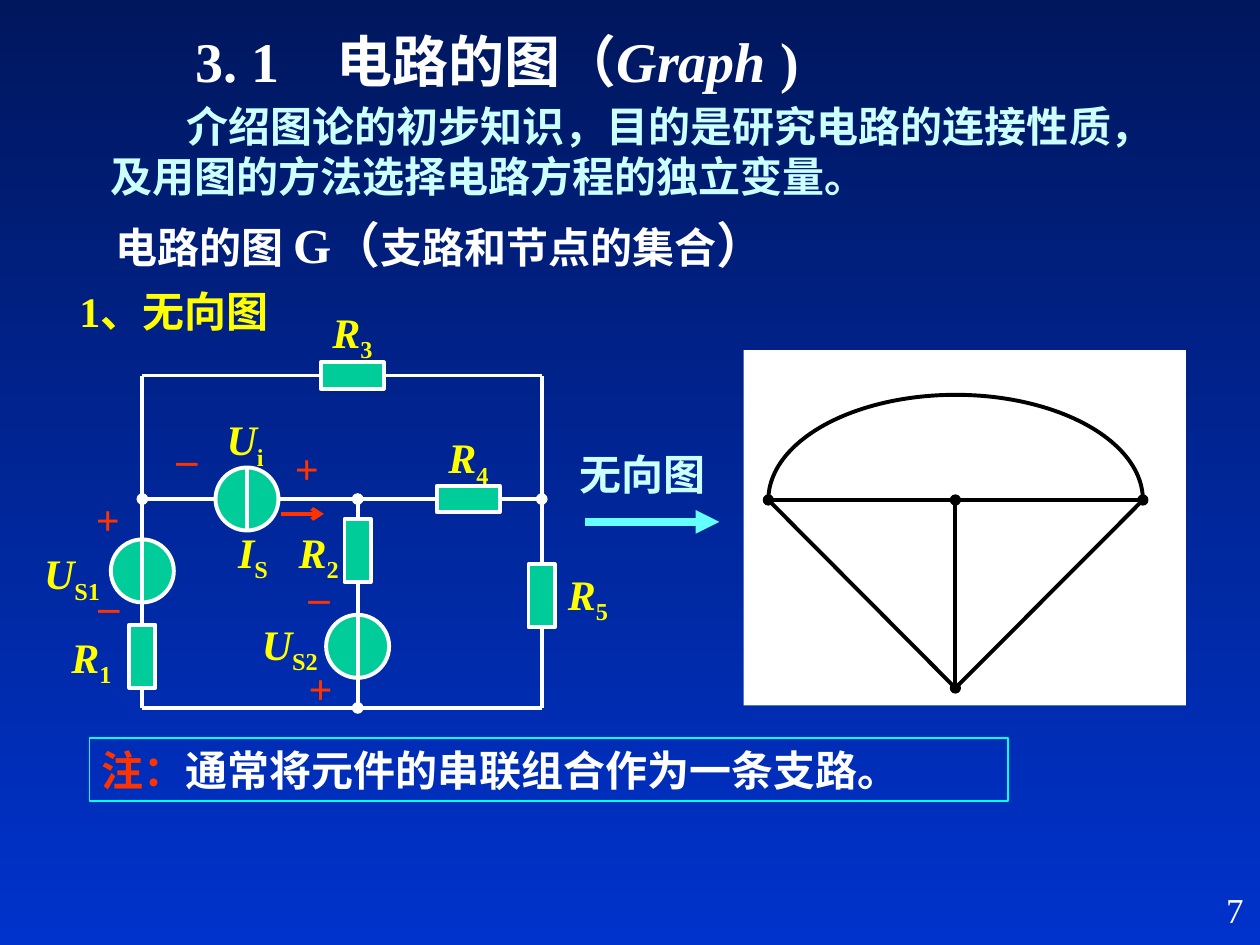
from lxml.etree import SubElement
from pptx import Presentation
from pptx.dml.color import RGBColor
from pptx.enum.shapes import MSO_CONNECTOR, MSO_SHAPE
from pptx.enum.text import MSO_ANCHOR, PP_ALIGN
from pptx.oxml.ns import qn
from pptx.util import Cm, Pt

COLORS = {
    "navy": "00175E", "blue": "0033CC", "white": "FFFFFF", "black": "000000",
    "pale": "CCFFFF", "yellow": "FFFF00", "red": "FF3300", "green": "00CC99",
    "aqua": "66FFFF", "cyan": "00FFFF",
}
RGB = {name: RGBColor.from_string(value) for name, value in COLORS.items()}

prs = Presentation()
prs.slide_width, prs.slide_height = Cm(25.4), Cm(19.05)
slide = prs.slides.add_slide(prs.slide_layouts[6])
shapes = slide.shapes

fill = slide.background.fill
fill.gradient()
fill.gradient_angle = 270
for stop, position, color in zip(fill.gradient_stops, (0, 1), ("navy", "blue")):
    stop.position = position
    stop.color.rgb = RGB[color]


def add_text(box, runs, align=PP_ALIGN.LEFT, wrap=True, anchor=MSO_ANCHOR.TOP):
    """Add a text box; each run is (text, color, font values), where sub lowers it."""
    s = shapes.add_textbox(*map(Cm, box))
    tf = s.text_frame
    for name, value in {"word_wrap": wrap, "vertical_anchor": anchor}.items():
        setattr(tf, name, value)
    p = tf.paragraphs[0]
    p.alignment = align
    for text, color, values in runs:
        r = p.add_run()
        r.text = text
        font = {"name": "Times New Roman", "size": Pt(24), "bold": True, **values}
        if font.pop("sub", False):
            r._r.get_or_add_rPr().set("baseline", "-25000")
        for name, value in font.items():
            setattr(r.font, name, value)
        r.font.color.rgb = RGB[color]
    return s


def add_line(start, end, color, width=2.25, head=None, tail=None):
    s = shapes.add_connector(MSO_CONNECTOR.STRAIGHT, *map(Cm, start + end))
    s.line.color.rgb = RGB[color]
    s.line.width = Pt(width)
    SubElement(s._element.spPr, qn("a:effectLst"))
    for tag, kind in (("a:headEnd", head), ("a:tailEnd", tail)):
        if kind:
            SubElement(s.line._get_or_add_ln(), qn(tag), type=kind)


# Headings
big = {"size": Pt(32)}
s = add_text((3.7, 0.41, 16, 1.6),
             [("3. 1\t电路的图（", "white", big),
              ("Graph ", "white", {**big, "italic": True}),
              (")", "white", big)], anchor=MSO_ANCHOR.MIDDLE)
tabs = SubElement(s.text_frame.paragraphs[0]._p.get_or_add_pPr(), qn("a:tabLst"))
SubElement(tabs, qn("a:tab"), pos=str(Cm(2.83)), algn="l")

s = add_text((1.98, 1.9, 21.95, 2.29),
             [("介绍图论的初步知识，目的是研究电路的连接性质，及用图的方法选择电路方程的独立变量。",
               "pale", {})])
s.text_frame.paragraphs[0]._p.get_or_add_pPr().set("indent", str(Cm(1.54)))

add_text((2.08, 4.19, 19.38, 1.45),
         [("电路的图 ", "white", {}), ("G（", "white", {"size": Pt(28)}),
          ("支路和节点的集合", "white", {}), ("）", "white", {"size": Pt(28)})])
add_text((1.35, 5.64, 5.16, 1.27), [("1、无向图", "yellow", {})])

# Circuit: sources lie under the wires, resistors above them
left, middle, right = 2.87, 7.21, 10.92
top, center, bottom = 7.57, 10.06, 14.27
source, source_x = 1.27, 4.98
radius = source / 2
long_side, short_side = 1.27, 0.53
sources = [(left, 11.51), (source_x, center), (middle, 13.03)]
resistors = [(left, 13.23, True), (middle, 11.1, True), (right, 12.01, True),
             (7.1, top, False), (9.44, center, False)]
wires = [
    ((left, top), (left, bottom), None, None),
    ((right, bottom), (right, top), None, None),
    ((left, top), (right, top), None, None),
    ((left, bottom), (right, bottom), None, None),
    ((source_x - radius, center), (left, center), None, "oval"),
    ((source_x + radius, center), (right, center), None, "oval"),
    ((middle, center), (middle, bottom), "oval", "oval"),
    ((source_x, center - radius), (source_x, center + radius), None, None),
]
parts = [(MSO_SHAPE.OVAL, x, y, source, source) for x, y in sources]
parts += [(MSO_SHAPE.RECTANGLE, x, y, *((short_side, long_side) if upright
                                        else (long_side, short_side)))
          for x, y, upright in resistors]
for i, (kind, x, y, w, h) in enumerate(parts):
    if i == len(sources):
        for start, end, head, tail in wires:
            add_line(start, end, "white", head=head, tail=tail)
    s = shapes.add_shape(kind, Cm(x - w / 2), Cm(y - h / 2), Cm(w), Cm(h))
    s.shadow.inherit = False
    s.fill.solid()
    s.fill.fore_color.rgb = RGB["green"]
    s.line.color.rgb = RGB["white"]
    s.line.width = Pt(2.25)
add_line((5.66, 10.36), (6.53, 10.36), "red", tail="arrow")

for x, y, letter, index in [
    (0.64, 10.92, "U", "S1"), (5.03, 12.34, "U", "S2"),
    (4.32, 8.22, "U", "i"), (4.55, 10.48, "I", "S"),
    (1.19, 12.6, "R", "1"), (5.77, 10.48, "R", "2"),
    (6.45, 6.05, "R", "3"), (8.79, 8.58, "R", "4"),
    (11.2, 11.33, "R", "5"),
]:
    add_text((x, y, 1.8, 1.42), [(letter, "yellow", {"italic": True}),
                                 (index, "yellow", {"sub": True})])

for x, y, sign in [(1.68, 9.83, "+"), (1.7, 11.28, "_"), (3.27, 8.31, "_"),
                   (5.69, 8.79, "+"), (5.94, 11.1, "_"), (5.97, 13.23, "+")]:
    add_text((x, y, 0.99, 1.27), [(sign, "red", {})], PP_ALIGN.CENTER, False)

# Arrow from the circuit to its graph
add_text((11.43, 8.92, 3.33, 1.27), [("无向图", "pale", {})])
add_line((11.79, 10.52), (14.5, 10.52), "aqua", 4.5, tail="triangle")

# Undirected graph
s = shapes.add_shape(MSO_SHAPE.RECTANGLE, Cm(14.99), Cm(7.06), Cm(8.92), Cm(7.16))
s.shadow.inherit = False
s.fill.solid()
s.fill.fore_color.rgb = RGB["white"]
s.line.fill.background()

s = shapes.add_shape(MSO_SHAPE.ARC, Cm(15.49), Cm(7.96), Cm(7.55), Cm(4.24))
s.shadow.inherit = False
s.adjustments[0], s.adjustments[1] = 108, 0  # upper half, from 180° to 0°
s.fill.background()
s.line.color.rgb = RGB["black"]
s.line.width = Pt(2.25)

west, east, hub, south = (15.49, 10.08), (23.04, 10.08), (19.26, 10.08), (19.26, 13.87)
for start, end in [(west, east), (west, south), (east, south), (hub, south)]:
    add_line(start, end, "black")
dot = 0.2
for x, y in (west, east, hub, south):
    s = shapes.add_shape(MSO_SHAPE.OVAL, Cm(x - dot / 2), Cm(y - dot / 2), Cm(dot), Cm(dot))
    s.shadow.inherit = False
    s.fill.solid()
    s.fill.fore_color.rgb = RGB["black"]
    s.line.color.rgb = RGB["black"]
    s.line.width = Pt(0.75)

# Note and page number
s = add_text((1.8, 14.88, 18.52, 1.27),
             [("注：", "red", {}), ("通常将元件的串联组合作为一条支路。", "white", {})])
s.line.color.rgb = RGB["cyan"]
s.line.width = Pt(0.75)
add_text((20.04, 17.78, 5.28, 1.27), [("7", "white", {"size": Pt(20), "bold": False})],
         PP_ALIGN.RIGHT)

prs.save("out.pptx")
